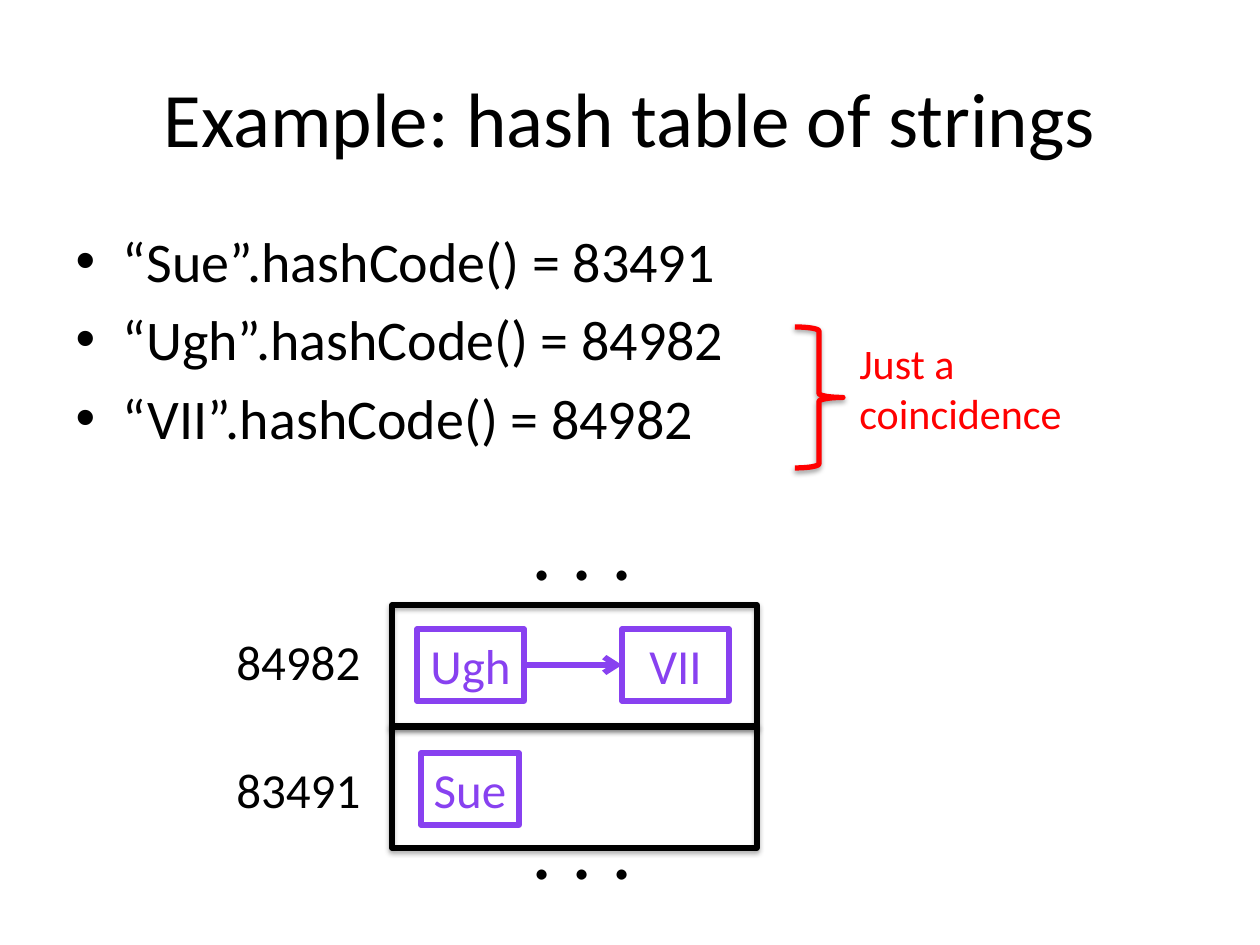
from lxml import etree
from pptx import Presentation
from pptx.dml.color import RGBColor
from pptx.enum.shapes import MSO_CONNECTOR, MSO_SHAPE
from pptx.enum.text import MSO_ANCHOR, MSO_AUTO_SIZE, PP_ALIGN
from pptx.oxml.ns import qn
from pptx.util import Emu, Pt

BLACK = RGBColor(0x00, 0x00, 0x00)
RED = RGBColor(0xFF, 0x00, 0x00)
PURPLE = RGBColor(0x88, 0x41, 0xF0)
FONT = "Calibri"
RECTANGLE = MSO_SHAPE.RECTANGLE
RIGHT_BRACE = MSO_SHAPE.RIGHT_BRACE
STRAIGHT = MSO_CONNECTOR.STRAIGHT
LEFT, CENTER = PP_ALIGN.LEFT, PP_ALIGN.CENTER
TOP, MIDDLE = MSO_ANCHOR.TOP, MSO_ANCHOR.MIDDLE
FIT_TEXT = MSO_AUTO_SIZE.SHAPE_TO_FIT_TEXT

SLIDE_WIDTH, SLIDE_HEIGHT = 1260, 945
EMU_PER_PIXEL = 914400 / 126


def px(*lengths):
    return [Emu(round(length * EMU_PER_PIXEL)) for length in lengths]


def write_text(shape, text, size, color, align=LEFT, anchor=TOP):
    text_frame = shape.text_frame
    text_frame.text = text
    text_frame.vertical_anchor = anchor
    for paragraph in text_frame.paragraphs:
        paragraph.alignment = align
        for run in paragraph.runs:
            run.font.name = FONT
            run.font.size = Pt(size)
            run.font.color.rgb = color


def fill_placeholder(placeholder, box, text, size, align, anchor):
    placeholder.left, placeholder.top, placeholder.width, placeholder.height = px(*box)
    write_text(placeholder, text, size, BLACK, align, anchor)


def add_label(slide, box, text, size, color=BLACK):
    label = slide.shapes.add_textbox(*px(*box))
    write_text(label, text, size, color)
    label.text_frame.word_wrap = False
    label.text_frame.auto_size = FIT_TEXT


def add_outline(slide, kind, box, color):
    shape = slide.shapes.add_shape(kind, *px(*box))
    shape.shadow.inherit = False
    shape.fill.background()
    shape.line.color.rgb = color
    shape.line.width = Pt(3)
    return shape


def add_shadow(shape, opacity):
    effects = shape.element.spPr.find(qn("a:effectLst"))
    shadow = etree.SubElement(
        effects, qn("a:outerShdw"), blurRad=str(Pt(3.1)), dist=str(Pt(1.7)),
        dir="5400000", rotWithShape="0")
    color = etree.SubElement(shadow, qn("a:srgbClr"), val=str(BLACK))
    etree.SubElement(color, qn("a:alpha"), val=str(opacity * 1000))


def add_entry(slide, box, text):
    entry = add_outline(slide, RECTANGLE, box, PURPLE)
    write_text(entry, text, 28, PURPLE, CENTER)
    entry.text_frame.word_wrap = False
    entry.text_frame.auto_size = FIT_TEXT


def add_arrow(slide, start, end):
    arrow = slide.shapes.add_connector(STRAIGHT, *px(*start, *end))
    arrow.line.color.rgb = PURPLE
    arrow.line.width = Pt(3.25)
    etree.SubElement(arrow.line._get_or_add_ln(), qn("a:tailEnd"), type="arrow")
    etree.SubElement(arrow.element.spPr, qn("a:effectLst"))


def main():
    presentation = Presentation()
    presentation.slide_width, presentation.slide_height = px(SLIDE_WIDTH, SLIDE_HEIGHT)
    slide = presentation.slides.add_slide(presentation.slide_layouts[1])

    # Title and hash codes
    hash_codes = [("Sue", 83491), ("Ugh", 84982), ("VII", 84982)]
    lines = [f"“{name}”.hashCode() = {code}" for name, code in hash_codes]
    fill_placeholder(slide.shapes.title, (63, 38, 1134, 157),
                     "Example: hash table of strings", 44, CENTER, MIDDLE)
    fill_placeholder(slide.placeholders[1], (63, 220, 736, 247),
                     "\n".join(lines), 32, LEFT, TOP)

    # Remark on the equal codes
    add_label(slide, (847, 331, 230, 115), "Just a\ncoincidence", 24, RED)
    brace = add_outline(slide, RIGHT_BRACE, (795, 327, 48, 141), RED)
    add_shadow(brace, 38)

    # Table buckets with their codes
    for bucket_top, label_top, code in [(605, 625, "84982"), (726, 753, "83491")]:
        bucket = add_outline(slide, RECTANGLE, (392, bucket_top, 365, 122), BLACK)
        add_shadow(bucket, 35)
        add_label(slide, (224, label_top, 151, 72), code, 28)

    # Chained entries
    add_entry(slide, (417, 629, 107, 72), "Ugh")
    add_entry(slide, (622, 629, 107, 72), "VII")
    add_entry(slide, (421, 753, 98, 72), "Sue")
    add_arrow(slide, (523, 665), (622, 665))

    # Dots above and below the buckets
    for dots_top in (490, 789):
        add_label(slide, (519, dots_top, 129, 115), ". . .", 48)

    presentation.save("out.pptx")


main()
